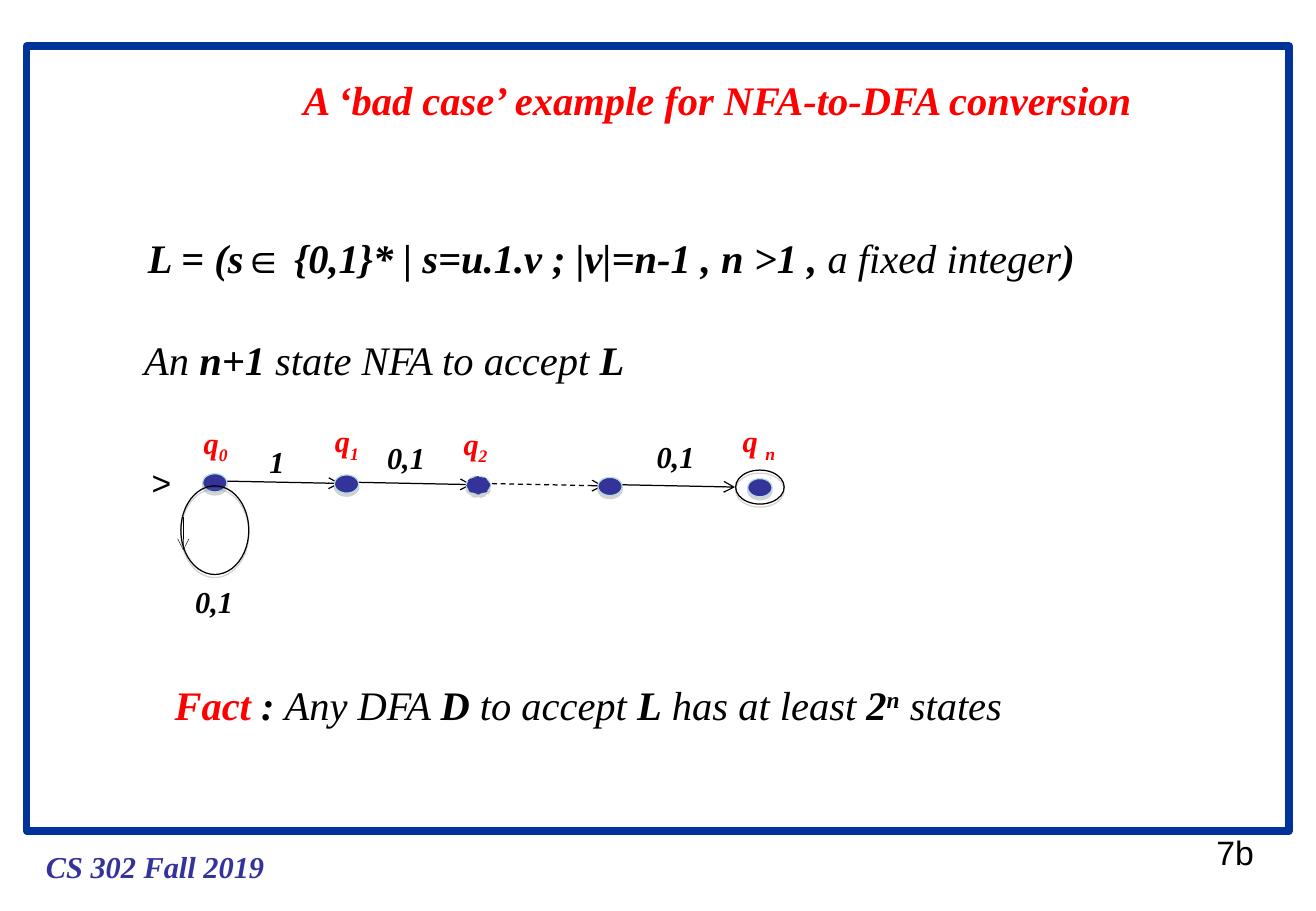
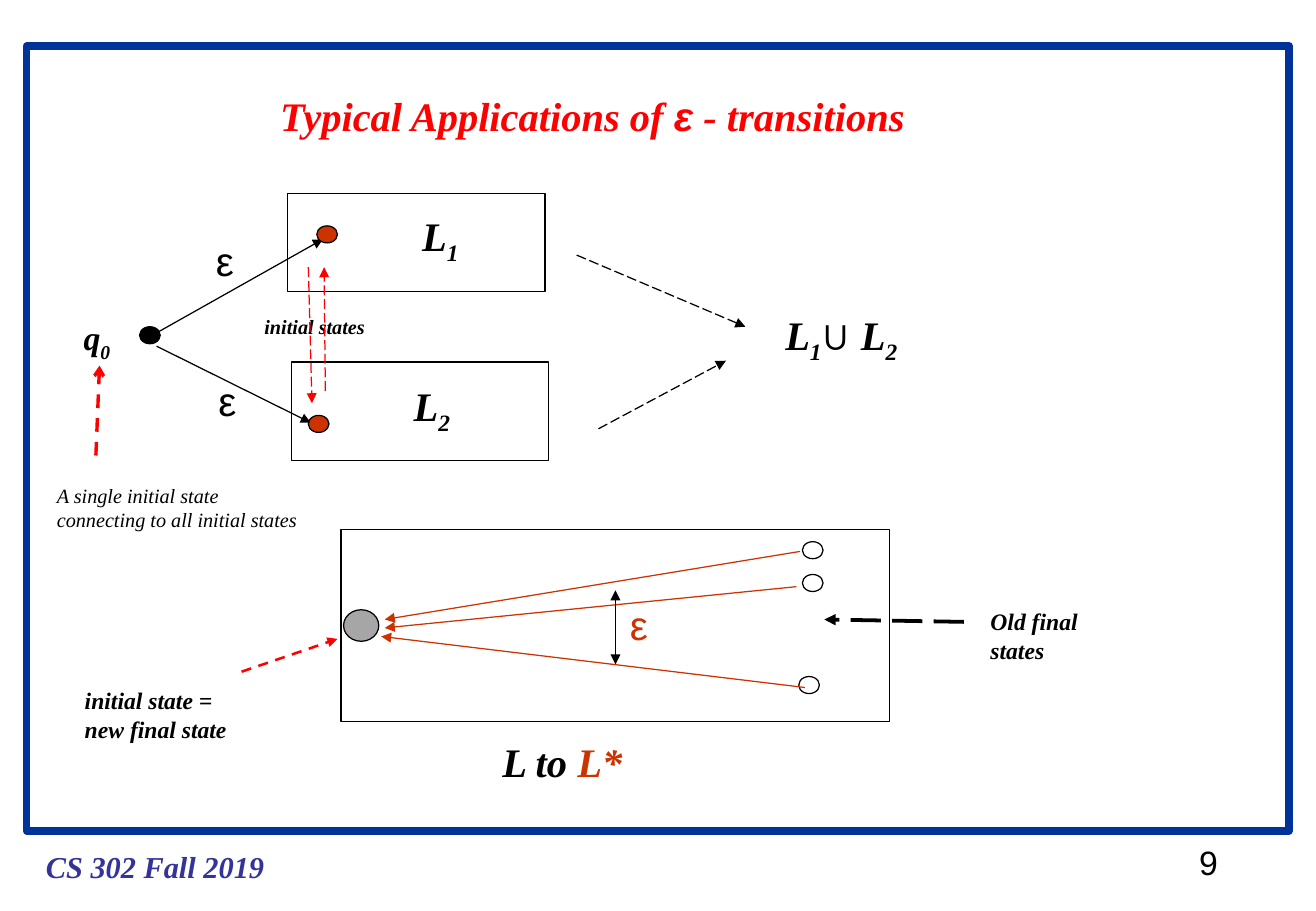
import pptx
import pptx.dml.color
import pptx.enum.dml
import pptx.enum.shapes
import pptx.enum.text
import pptx.oxml.ns
import pptx.util
from lxml import etree

Inches = pptx.util.Inches
Pt = pptx.util.Pt
RGBColor = pptx.dml.color.RGBColor
MSO_SHAPE = pptx.enum.shapes.MSO_SHAPE
qn = pptx.oxml.ns.qn

BLACK = RGBColor(0x00, 0x00, 0x00)
WHITE = RGBColor(0xFF, 0xFF, 0xFF)
RED = RGBColor(0xFF, 0x00, 0x00)
RUST = RGBColor(0xCC, 0x33, 0x00)
GRAY = RGBColor(0xA6, 0xA6, 0xA6)
FRAME_BLUE = RGBColor(0x00, 0x33, 0x99)
INDIGO = RGBColor(0x33, 0x33, 0x99)
PALE_TEAL = RGBColor(0xB6, 0xDC, 0xDF)

DASH = pptx.enum.dml.MSO_LINE.DASH
LONG_DASH = pptx.enum.dml.MSO_LINE.LONG_DASH

# Run marks: text is bold italic Times New Roman unless marked
LIGHT, UPRIGHT, ARIAL, SUB, SUP = "light", "upright", "arial", "sub", "sup"
BASELINES = {SUB: "-25000", SUP: "30000"}
PLAIN = (LIGHT, UPRIGHT, ARIAL)


def add_figure(slide, kind, box, fill=None, line=BLACK, width=0.75, dash=None, shadow=False):
    shape = slide.shapes.add_shape(kind, *map(Inches, box))
    shape.shadow.inherit = False
    if fill is None:
        shape.fill.background()
    else:
        shape.fill.solid()
        shape.fill.fore_color.rgb = fill
    shape.line.color.rgb = line
    shape.line.width = Pt(width)
    if dash:
        shape.line.dash_style = dash
    if shadow:
        effects = shape._element.spPr.find(qn("a:effectLst"))
        outer = etree.SubElement(effects, qn("a:outerShdw"), blurRad="0",
                                 dist=str(Pt(1.8)), dir="5400000", rotWithShape="0")
        color = etree.SubElement(outer, qn("a:srgbClr"), val="808080")
        etree.SubElement(color, qn("a:alpha"), val="35000")


def add_arrow(slide, start, end, color=BLACK, width=0.75, dash=None, head="triangle", both=False):
    connector = slide.shapes.add_connector(
        pptx.enum.shapes.MSO_CONNECTOR.STRAIGHT, *map(Inches, start + end))
    connector.line.color.rgb = color
    connector.line.width = Pt(width)
    if dash:
        connector.line.dash_style = dash
    properties = connector._element.spPr
    outline = properties.find(qn("a:ln"))
    for tag in ("a:headEnd", "a:tailEnd") if both else ("a:tailEnd",):
        etree.SubElement(outline, qn(tag), type=head)
    etree.SubElement(properties, qn("a:effectLst"))


presentation = pptx.Presentation()
presentation.slide_width = Inches(10.84)
presentation.slide_height = Inches(7.5)

# Texts: left, top, width, size, colour, line spacing, paragraphs of (text, *marks) runs
footer = (0.28, 6.93, 2, 18, INDIGO, 1, [[("CS 302 Fall 2019",)]])

conversion_texts = [
    (9.92, 6.8, 0.51, 20, BLACK, 1, [[("7b", *PLAIN)]]),
    (2.4, 0.57, 7.14, 24, RED, 1, [[("A ‘bad case’ example for NFA-to-DFA conversion",)]]),
    (1.12, 1.67, 7.91, 24, BLACK, 1.5, [[
        ("L = (s",), ("∈", ARIAL), (" {0,1}* | s=u.1.v ; |v|=n-1 , n >1 , ",),
        ("a fixed integer", LIGHT), (")",)]]),
    (1.09, 2.51, 4.2, 24, BLACK, 1.5, [[
        ("An ", LIGHT), ("n+1",), (" state NFA to accept ", LIGHT), ("L",)]]),
    (1.15, 3.75, 0.36, 20, BLACK, 1, [[(">", *PLAIN)]]),
    (1.51, 4.75, 0.51, 18, BLACK, 1, [[("0,1",)]]),
    (2.12, 3.6, 0.33, 18, BLACK, 1, [[("1",)]]),
    (3.09, 3.57, 0.51, 18, BLACK, 1, [[("0,1",)]]),
    (5.31, 3.56, 0.51, 18, BLACK, 1, [[("0,1",)]]),
    (1.58, 3.44, 0.4, 18, RED, 1, [[("q",), ("0", SUB)]]),
    (2.66, 3.43, 0.4, 18, RED, 1, [[("q",), ("1", SUB)]]),
    (3.72, 3.45, 0.4, 18, RED, 1, [[("q",), ("2", SUB)]]),
    (6.02, 3.43, 0.47, 18, RED, 1, [[("q ",), ("n", SUB)]]),
    (1.34, 5.35, 7.06, 24, BLACK, 1.5, [[
        ("Fact", RED), (" : ",), ("Any DFA ", LIGHT), ("D",), (" to accept ", LIGHT),
        ("L",), (" has at least ", LIGHT), ("2",), ("n", SUP), (" states", LIGHT)]]),
]

epsilon_texts = [
    (9.78, 6.88, 0.35, 20, BLACK, 1, [[("9", *PLAIN)]]),
    (2.21, 0.7, 5.44, 24, RED, 1, [[
        ("Typical Applications of ",), ("ε", ARIAL), (" - transitions",)]]),
    (0.59, 2.56, 0.43, 20, BLACK, 1, [[("q",), ("0", SUB)]]),
    (1.7, 3.05, 0.34, 24, BLACK, 1, [[("ε", *PLAIN)]]),
    (1.68, 1.89, 0.34, 24, BLACK, 1, [[("ε", *PLAIN)]]),
    (3.38, 1.69, 0.5, 24, BLACK, 1, [[("L",), ("1", SUB)]]),
    (3.31, 3.09, 0.5, 24, BLACK, 1, [[("L",), ("2", SUB)]]),
    (6.37, 2.5, 1.15, 24, BLACK, 1, [[
        ("L",), ("1", SUB), ("∪", ARIAL), (" L",), ("2", SUB)]]),
    (2.08, 2.54, 1.03, 12, BLACK, 1, [[("initial states",)]]),
    (0.37, 3.93, 2.26, 12, BLACK, 1, [
        [("A single initial state", LIGHT)],
        [("connecting to all initial states", LIGHT)]]),
    (8.06, 4.95, 1.41, 14, BLACK, 1, [[("Old final states",)]]),
    (5.09, 4.89, 0.34, 24, RUST, 1, [[("ε", *PLAIN)]]),
    (4.04, 6.02, 1.2, 24, BLACK, 1, [[("L to ",), ("L*", RUST)]]),
    (0.6, 5.6, 1.37, 14, BLACK, 1, [[("initial state =",)], [("new final state",)]]),
]

# Frame, footer and texts of both slides
slides = []
for texts in (conversion_texts, epsilon_texts):
    slide = presentation.slides.add_slide(presentation.slide_layouts[6])
    slides.append(slide)
    add_figure(slide, MSO_SHAPE.RECTANGLE, (0.22, 0.38, 10.4, 6.46), line=FRAME_BLUE, width=4.5)
    for left, top, width, size, color, spacing, paragraphs in [footer] + texts:
        height = 0.1 + len(paragraphs) * spacing * size * 1.2 / 72
        text_box = slide.shapes.add_textbox(*map(Inches, (left, top, width, height)))
        text_frame = text_box.text_frame
        text_frame.word_wrap = False
        text_frame.auto_size = pptx.enum.text.MSO_AUTO_SIZE.SHAPE_TO_FIT_TEXT
        for index, runs in enumerate(paragraphs):
            paragraph = text_frame.add_paragraph() if index else text_frame.paragraphs[0]
            paragraph.line_spacing = float(spacing)
            for text, *marks in runs:
                run = paragraph.add_run()
                run.text = text
                run.font.size = Pt(size)
                run.font.name = "Arial" if ARIAL in marks else "Times New Roman"
                run.font.bold = LIGHT not in marks
                run.font.italic = UPRIGHT not in marks
                run.font.color.rgb = color
                for mark in marks:
                    if isinstance(mark, RGBColor):
                        run.font.color.rgb = mark
                    elif mark in BASELINES:
                        run._r.get_or_add_rPr().set("baseline", BASELINES[mark])

conversion, epsilon = slides

# Slide 1: chain of states, the third one leading on by a dashed arrow
state_style = dict(fill=INDIGO, line=PALE_TEAL, shadow=True)
for index in range(4):
    left, top = 1.67 + 1.085 * index, 3.9 + 0.01 * index
    dash = DASH if index == 2 else None
    add_arrow(conversion, (left + 0.14, top + 0.06), (left + 1.13, top + 0.08),
              dash=dash, head="arrow")
    add_figure(conversion, MSO_SHAPE.OVAL, (left, top, 0.2, 0.15), dash=dash, **state_style)

# Slide 1: loop on the first state and double ring of the last
add_figure(conversion, MSO_SHAPE.OVAL, (1.49, 4, 0.56, 0.73), shadow=True)
add_arrow(conversion, (1.51, 4.26), (1.51, 4.53), width=0.25, head="arrow")
add_figure(conversion, MSO_SHAPE.OVAL, (6.06, 3.87, 0.4, 0.28), shadow=True)
add_figure(conversion, MSO_SHAPE.OVAL, (6.16, 3.94, 0.2, 0.15), **state_style)

# Slide 2: union of two languages
for start, end in [((1.22, 2.78), (2.66, 1.97)), ((1.29, 2.85), (2.56, 3.48))]:
    add_arrow(epsilon, start, end)
for left, top, fill in [(1.15, 2.69, BLACK), (2.54, 3.42, RUST), (2.61, 1.86, RUST)]:
    add_figure(epsilon, MSO_SHAPE.OVAL, (left, top, 0.17, 0.14), fill)
for left, top in [(2.37, 1.59), (2.4, 2.98)]:
    add_figure(epsilon, MSO_SHAPE.RECTANGLE, (left, top, 2.12, 0.81))
for start, end, color in [
    ((4.75, 2.1), (6.14, 2.69), BLACK),
    ((4.93, 3.53), (5.98, 2.97), BLACK),
    ((2.68, 3.22), (2.67, 2.2), RED),
    ((2.54, 2.2), (2.57, 3.32), RED),
]:
    add_arrow(epsilon, start, end, color, dash=LONG_DASH)
add_arrow(epsilon, (0.79, 3.75), (0.82, 3.01), RED, 2, DASH, "arrow")

# Slide 2: star of a language
add_figure(epsilon, MSO_SHAPE.RECTANGLE, (2.81, 4.36, 4.52, 1.58))
add_figure(epsilon, MSO_SHAPE.OVAL, (2.83, 5.02, 0.29, 0.26), GRAY)
for left, top, start, end in [
    (6.61, 4.46, (6.59, 4.54), (3.17, 5.1)),
    (6.61, 4.73, (6.56, 4.83), (3.17, 5.17)),
    (6.58, 5.57, (6.63, 5.66), (3.14, 5.24)),
]:
    add_figure(epsilon, MSO_SHAPE.OVAL, (left, top, 0.17, 0.14), WHITE)
    add_arrow(epsilon, start, end, RUST)
add_arrow(epsilon, (7.94, 5.12), (6.79, 5.1), width=2.25, dash=LONG_DASH)
add_arrow(epsilon, (5.07, 4.86), (5.07, 5.47), both=True)
add_arrow(epsilon, (1.99, 5.53), (2.78, 5.26), RED, 1.5, DASH)

presentation.save("out.pptx")
